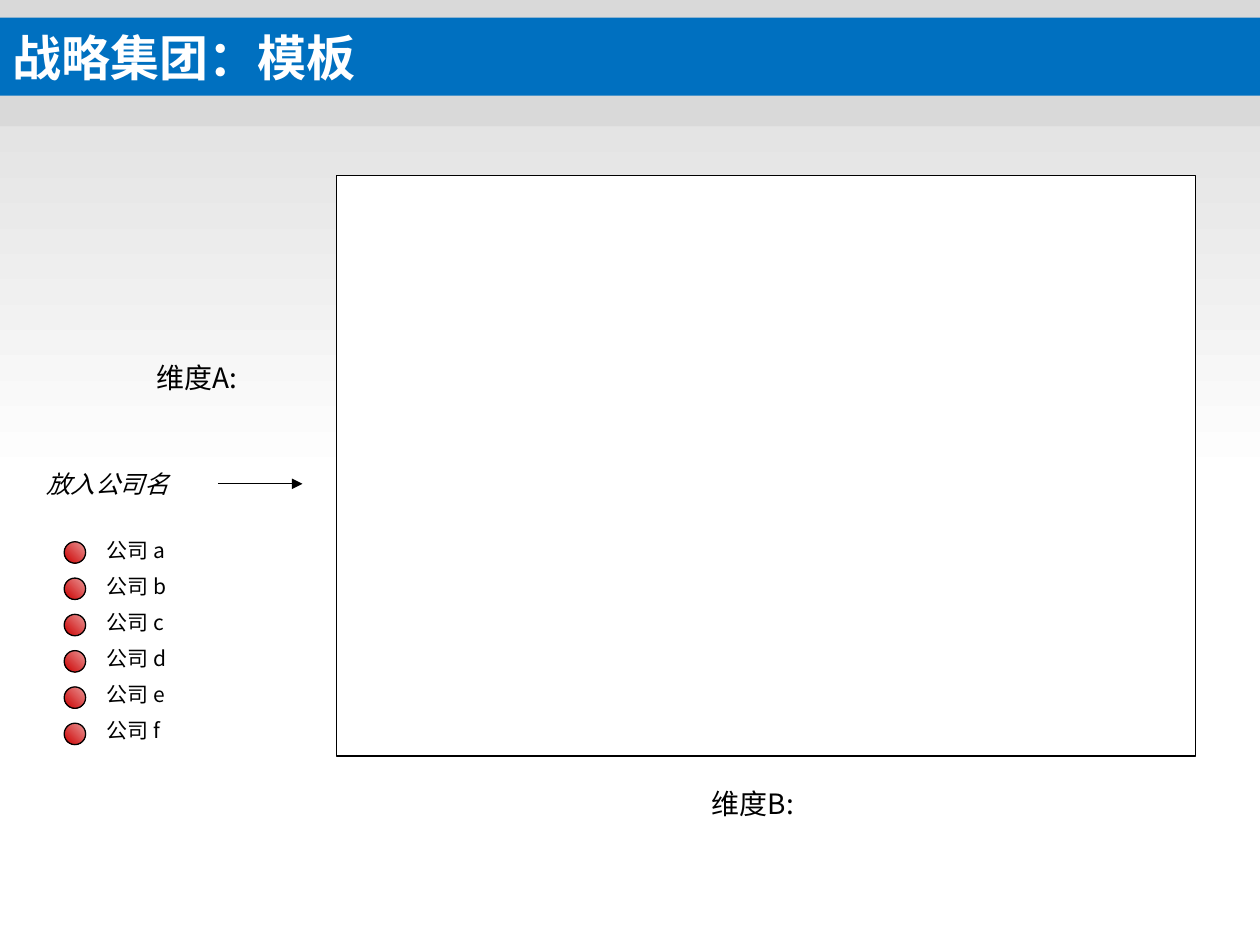
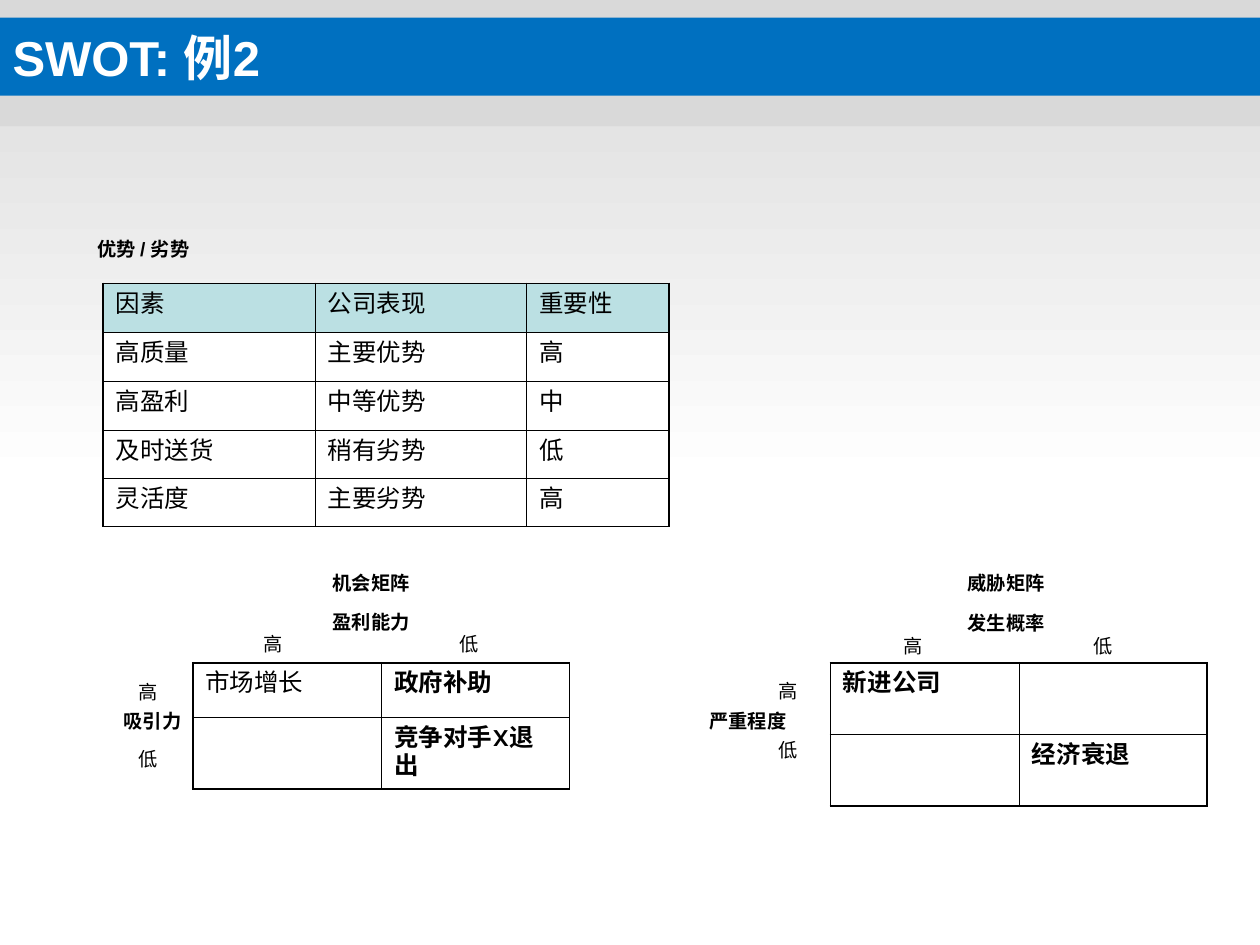
from lxml.etree import SubElement
from pptx import Presentation
from pptx.dml.color import RGBColor
from pptx.enum.shapes import MSO_CONNECTOR, MSO_SHAPE
from pptx.enum.text import MSO_ANCHOR, MSO_AUTO_SIZE, PP_ALIGN
from pptx.oxml.ns import qn
from pptx.util import Inches, Pt

BLACK, WHITE = "000000", "FFFFFF"
GREY, BLUE, TEAL = "D9D9D9", "0070C0", "BBE0E3"
LIGHT_RED, RED = "EB9999", "CC0000"
CJK_FONT = "Noto Sans CJK SC"
colour = RGBColor.from_string


def add_run(paragraph, text, size, font=CJK_FONT, color=BLACK, bold=False, italic=False):
    run = paragraph.add_run()
    run.text = text
    run.font.size = Pt(size)
    run.font.name = font
    run.font.bold = bold
    run.font.italic = italic
    run.font.color.rgb = colour(color)
    SubElement(run.font._element, qn("a:ea"), typeface=CJK_FONT)


def add_label(shapes, text, left, top, width, height, size, inset=True,
              align=PP_ALIGN.LEFT, **style):
    box = shapes.add_textbox(Inches(left), Inches(top), Inches(width), Inches(height))
    frame = box.text_frame
    frame.word_wrap = inset
    frame.auto_size = MSO_AUTO_SIZE.SHAPE_TO_FIT_TEXT
    if not inset:
        frame.margin_left = frame.margin_right = frame.margin_top = frame.margin_bottom = 0
    frame.paragraphs[0].alignment = align
    add_run(frame.paragraphs[0], text, size, **style)


presentation = Presentation()
presentation.slide_width = Inches(10)
presentation.slide_height = Inches(7.5)

# Both slides: fading backdrop, grey band and blue title bar
slides = []
for title_text in ["战略集团：模板", "SWOT: 例2"]:
    slide = presentation.slides.add_slide(presentation.slide_layouts[5])
    slides.append(slide)
    for top, height in [(0, 3.83), (0.76, 0.24)]:
        band = slide.shapes.add_shape(
            MSO_SHAPE.RECTANGLE, 0, Inches(top), Inches(10), Inches(height))
        band.shadow.inherit = False
        band.line.fill.background()
        if top == 0:
            band.fill.gradient()
            band.fill.gradient_angle = 270
            for stop, shade in zip(band.fill.gradient_stops, [GREY, WHITE]):
                stop.color.rgb = colour(shade)
        else:
            band.fill.solid()
            band.fill.fore_color.rgb = colour(GREY)

    title = slide.shapes.title
    slide.shapes._spTree.append(title._element)
    title.left, title.top = 0, Inches(0.14)
    title.width, title.height = Inches(10), Inches(0.62)
    title.fill.solid()
    title.fill.fore_color.rgb = colour(BLUE)
    title.text_frame.auto_size = MSO_AUTO_SIZE.NONE
    title.text_frame.vertical_anchor = MSO_ANCHOR.MIDDLE
    paragraph = title.text_frame.paragraphs[0]
    paragraph.alignment = PP_ALIGN.LEFT
    add_run(paragraph, title_text, 28, font="Arial", color=WHITE, bold=True)

group_slide, swot_slide = slides

# Slide 1: empty strategic group map with its two dimensions
group_map = group_slide.shapes.add_shape(
    MSO_SHAPE.RECTANGLE, Inches(2.67), Inches(1.39), Inches(6.82), Inches(4.61))
group_map.shadow.inherit = False
group_map.fill.solid()
group_map.fill.fore_color.rgb = colour(WHITE)
group_map.line.color.rgb = colour(BLACK)
group_map.line.width = Pt(0.75)
for text, left, top in [("维度A:", 0.73, 2.81), ("维度B:", 5.14, 6.19)]:
    add_label(group_slide.shapes, text, left, top, 1.67, 0.37, 16, align=PP_ALIGN.CENTER)

# Company legend
for index, letter in enumerate("abcdef"):
    company = group_slide.shapes.add_group_shape()
    dot = company.shapes.add_shape(
        MSO_SHAPE.OVAL, Inches(0.51), Inches(4.3 + 0.288 * index), Inches(0.17), Inches(0.17))
    dot.shadow.inherit = False
    dot.fill.gradient()
    dot.fill.gradient_angle = 225
    for stop, shade in zip(dot.fill.gradient_stops, [LIGHT_RED, RED]):
        stop.color.rgb = colour(shade)
    dot.line.color.rgb = colour(BLACK)
    dot.line.width = Pt(0.75)
    add_label(company.shapes, f"公司 {letter}", 0.75, 4.22 + 0.285 * index, 1.81, 0.3, 12)

# Instruction and arrow towards the map
add_label(group_slide.shapes, "放入公司名", 0.27, 3.67, 2.16, 0.34, 14, italic=True)
arrow = group_slide.shapes.add_connector(
    MSO_CONNECTOR.STRAIGHT, Inches(1.73), Inches(3.84), Inches(2.4), Inches(3.84))
arrow.line.color.rgb = colour(BLACK)
arrow.line.width = Pt(0.75)
SubElement(arrow.line._get_or_add_ln(), qn("a:tailEnd"), type="triangle")
SubElement(arrow._element.spPr, qn("a:effectLst"))

# Slide 2: factor table, opportunity matrix and threat matrix
factors = [
    ["因素", "公司表现", "重要性"],
    ["高质量", "主要优势", "高"],
    ["高盈利", "中等优势", "中"],
    ["及时送货", "稍有劣势", "低"],
    ["灵活度", "主要劣势", "高"],
]
opportunities = [["市场增长", "政府补助"], ["", "竞争对手X退出"]]
threats = [["新进公司", ""], ["", "经济衰退"]]
tables = [
    (factors, 0.82, 2.25, [1.68, 1.68, 1.13], [0.39, 0.39, 0.39, 0.38, 0.38], CJK_FONT),
    (opportunities, 1.53, 5.26, [1.5, 1.49], [0.43, 0.57], "Karla"),
    (threats, 6.59, 5.26, [1.5, 1.49], [0.57, 0.57], "Karla"),
]
for rows, left, top, widths, heights, font in tables:
    table = swot_slide.shapes.add_table(
        len(rows), len(widths), Inches(left), Inches(top),
        Inches(sum(widths)), Inches(sum(heights))).table
    table.first_row = table.horz_banding = False
    for column, width in zip(table.columns, widths):
        column.width = Inches(width)
    for row, height in zip(table.rows, heights):
        row.height = Inches(height)

    for row_index, row in enumerate(rows):
        for column_index, text in enumerate(row):
            cell = table.cell(row_index, column_index)
            # Thick lines outside, thin lines inside
            outer_sides = {
                "a:lnL": column_index == 0,
                "a:lnR": column_index == len(widths) - 1,
                "a:lnT": row_index == 0,
                "a:lnB": row_index == len(rows) - 1,
            }
            for side, is_outer in outer_sides.items():
                border = SubElement(cell._tc.get_or_add_tcPr(), qn(side),
                                    w=str(Pt(1.08 if is_outer else 0.45)))
                border_fill = SubElement(border, qn("a:solidFill"))
                SubElement(border_fill, qn("a:srgbClr"), val=BLACK)
            is_header = rows is factors and row_index == 0
            cell.fill.solid()
            cell.fill.fore_color.rgb = colour(TEAL if is_header else WHITE)
            if text:
                paragraph = cell.text_frame.paragraphs[0]
                paragraph.line_spacing = 0.8
                is_bold = rows is not factors and text != "市场增长"
                add_run(paragraph, text, 14, font=font, bold=is_bold)

# Headings of the table and matrices
add_label(swot_slide.shapes, "优势 / 劣势", 0.77, 1.88, 0.81, 0.18, 11,
          inset=False, font="Arial", bold=True)
headings = [
    ("机会矩阵", 2.64, 4.53), ("盈利能力", 2.64, 4.84), ("吸引力", 0.98, 5.63),
    ("威胁矩阵", 7.68, 4.53), ("发生概率", 7.68, 4.85), ("严重程度", 5.63, 5.63),
]
for text, left, top in headings:
    # Room for every 11 pt character on one line
    width = 0.16 * len(text)
    add_label(swot_slide.shapes, text, left, top, width, 0.18, 11, inset=False, bold=True)

# High and low marks along the matrix axes
high_low_places = [
    ((2.09, 5.02), (3.65, 5.02)), ((1.1, 5.4), (1.1, 5.93)),
    ((7.17, 5.03), (8.68, 5.03)), ((6.18, 5.39), (6.18, 5.86)),
]
for places in high_low_places:
    for text, (left, top) in zip("高低", places):
        add_label(swot_slide.shapes, text, left, top, 0.16, 0.18, 11, inset=False)

presentation.save("out.pptx")
